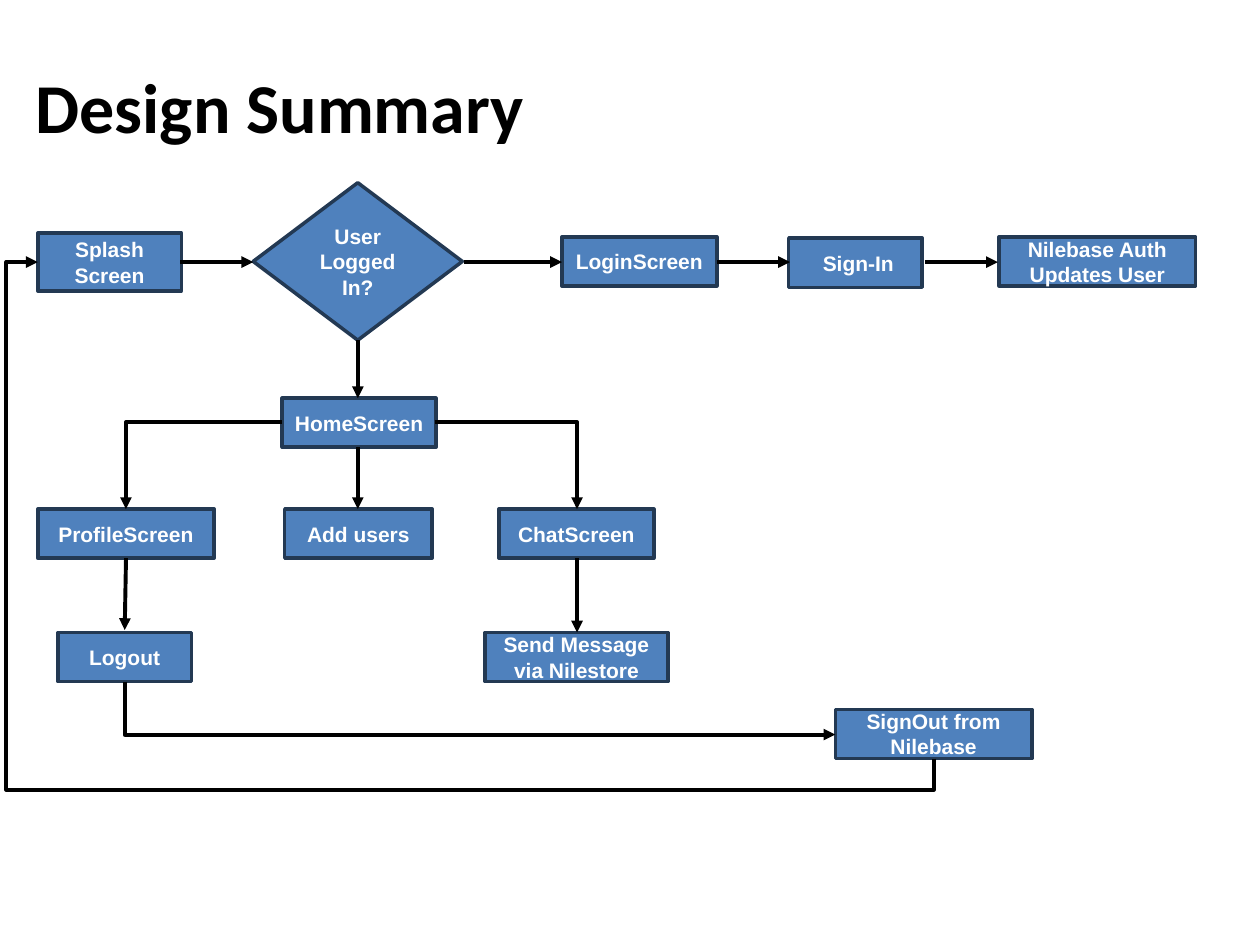
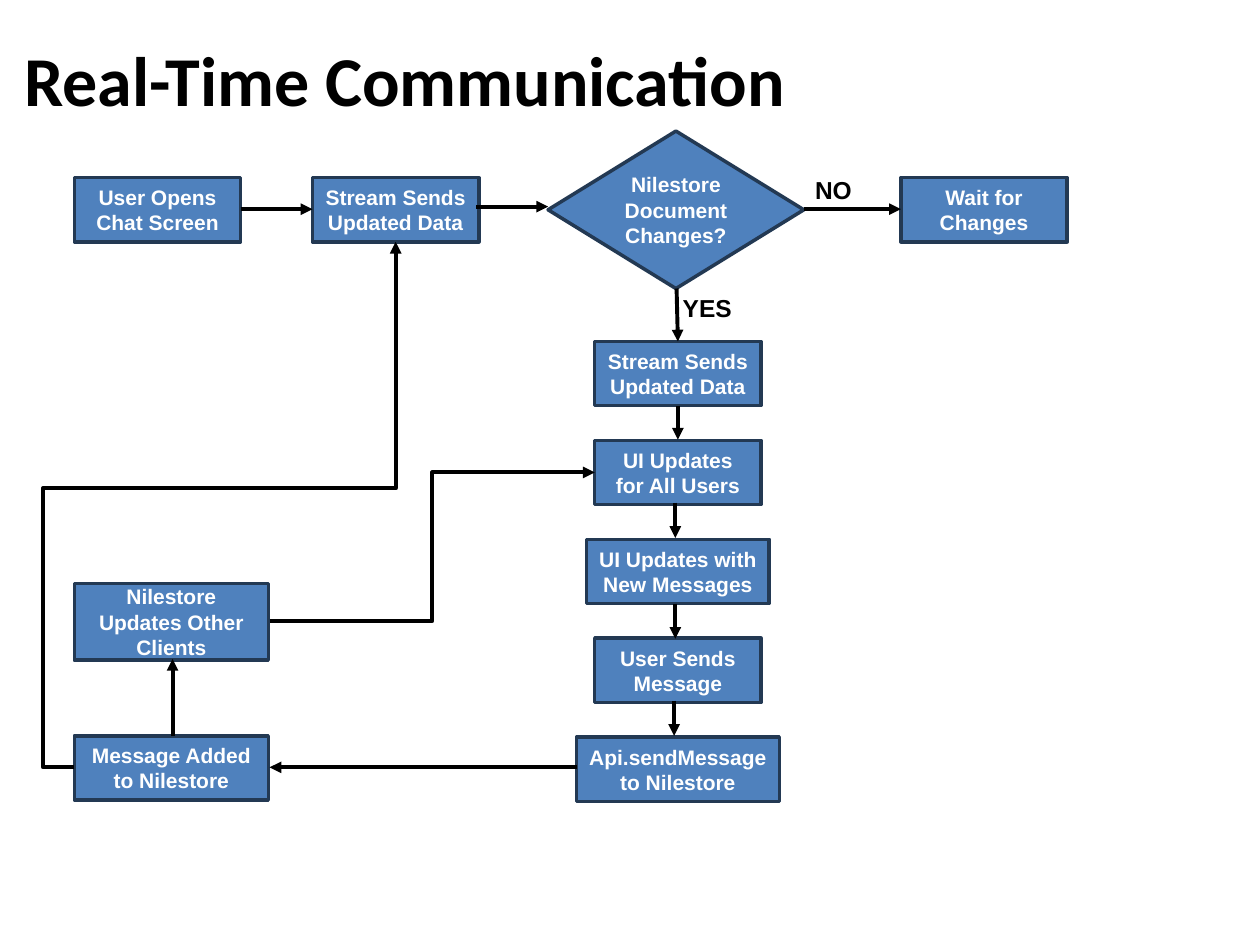
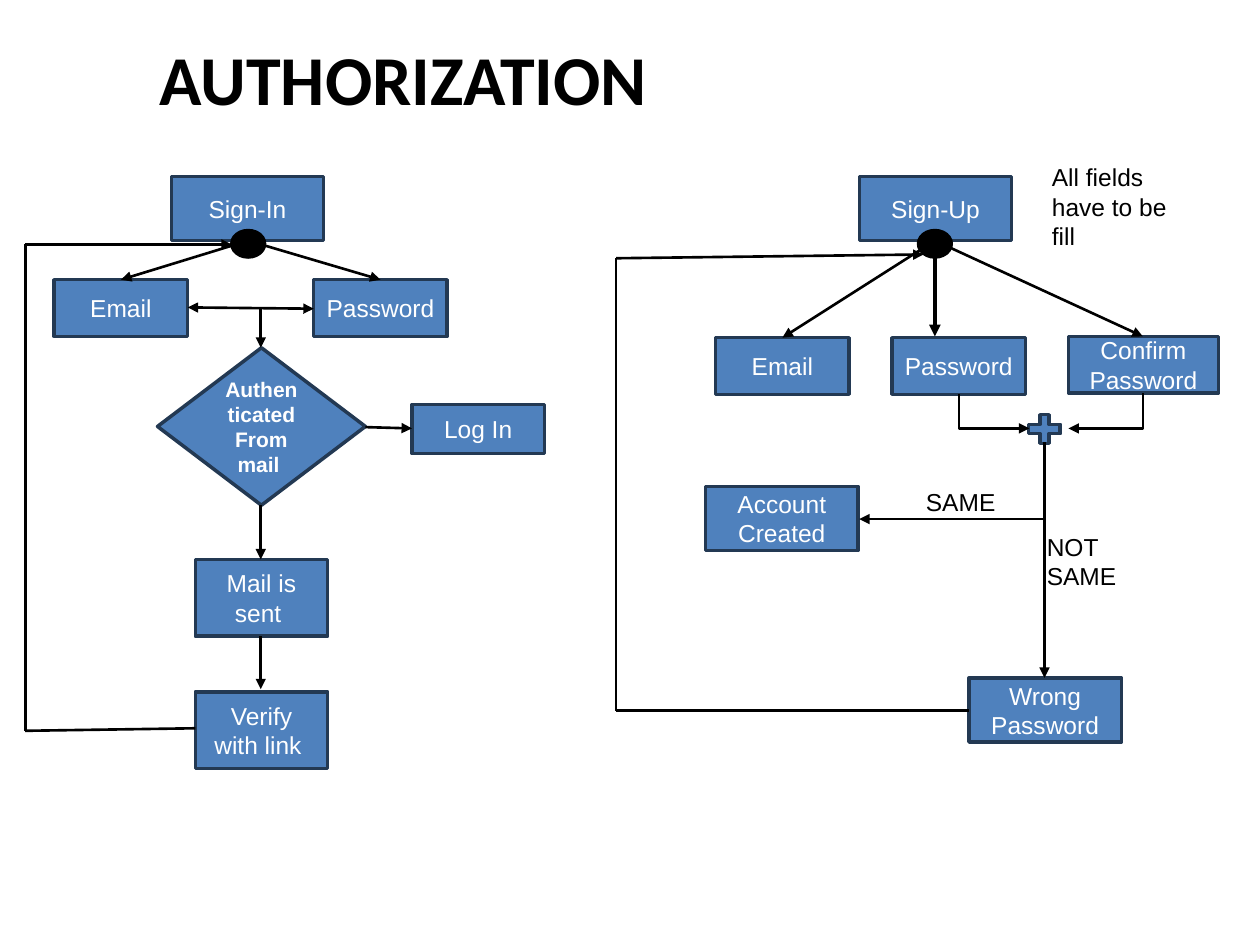
from pptx import Presentation
from pptx.dml.color import RGBColor
from pptx.enum.shapes import MSO_CONNECTOR, MSO_SHAPE
from pptx.enum.text import MSO_ANCHOR, PP_ALIGN
from pptx.oxml.ns import qn
from pptx.util import Inches, Pt
from lxml.etree import SubElement

COLORS = {"box": "4F81BD", "edge": "233953", "ink": "000000", "light": "FFFFFF"}
TITLE_SIZE = (7.98, 1.25)
BOLD = {"size": 12, "bold": True}
PLAIN = {"size": 14, "bold": False}


def color(name):
    """Return the named colour."""
    return RGBColor.from_string(COLORS[name])


def write(shape, text, size=14, bold=False, ink="ink", font="Arial", align=PP_ALIGN.LEFT):
    """Write formatted text, one paragraph for each line, and return the frame."""
    frame = shape.text_frame
    frame.word_wrap = True
    frame.text = text
    for paragraph in frame.paragraphs:
        paragraph.alignment = align
        for run in paragraph.runs:
            run.font.name = font
            run.font.size = Pt(size)
            run.font.bold = bold
            run.font.color.rgb = color(ink)
    return frame


def add_titled_slide(presentation, title, left, top):
    """Add a title-only slide with its title moved into place."""
    slide = presentation.slides.add_slide(presentation.slide_layouts[5])
    shape = slide.shapes.title
    shape.left, shape.top = Inches(left), Inches(top)
    shape.width, shape.height = (Inches(length) for length in TITLE_SIZE)
    frame = write(shape, title, size=40, bold=True, font="Calibri", align=PP_ALIGN.CENTER)
    frame.vertical_anchor = MSO_ANCHOR.MIDDLE
    properties = frame.paragraphs[0]._p.get_or_add_pPr()
    properties.set("marL", str(Inches(0.22)))
    properties.set("indent", "0")
    return slide


def add_node(slide, bounds, text="", kind=MSO_SHAPE.RECTANGLE, fill="box", edge="edge", **style):
    """Add a filled and outlined shape with centred text."""
    shape = slide.shapes.add_shape(kind, *(Inches(length) for length in bounds))
    shape.shadow.inherit = False
    shape.fill.solid()
    shape.fill.fore_color.rgb = color(fill)
    shape.line.color.rgb = color(edge)
    shape.line.width = Pt(2)
    if text:
        frame = write(shape, text, ink="light", align=PP_ALIGN.CENTER, **style)
        frame.vertical_anchor = MSO_ANCHOR.MIDDLE


def add_label(slide, bounds, text, bold=False):
    """Add a wrapped text box."""
    box = slide.shapes.add_textbox(*(Inches(length) for length in bounds))
    write(box, text, bold=bold)


def add_line(slide, start, end, width=2.25, ends=("tailEnd",), kind=MSO_CONNECTOR.STRAIGHT):
    """Add a connector with arrowheads at the given ends."""
    points = (Inches(length) for length in (*start, *end))
    connector = slide.shapes.add_connector(kind, *points)
    connector.line.color.rgb = color("ink")
    connector.line.width = Pt(width)
    line = connector.line._get_or_add_ln()
    for tag in ends:
        SubElement(line, qn(f"a:{tag}")).set("type", "triangle")
    SubElement(connector._element.spPr, qn("a:effectLst"))
    return connector


def add_elbow(slide, start, end, bends=2, vertical=False, adjust=(), width=2.25):
    """Add a bent arrow that leaves its start horizontally or vertically."""
    connector = add_line(slide, start, end, width, kind=MSO_CONNECTOR.ELBOW)
    properties = connector._element.spPr
    geometry = properties.find(qn("a:prstGeom"))
    geometry.set("prst", f"bentConnector{bends}")
    values = geometry.find(qn("a:avLst"))
    for number, value in enumerate(adjust, 1):
        guide = SubElement(values, qn("a:gd"))
        guide.set("name", f"adj{number}")
        guide.set("fmla", f"val {round(value * 100000)}")
    if vertical:
        rightward, downward = end[0] > start[0], end[1] > start[1]
        across, down = abs(end[0] - start[0]), abs(end[1] - start[1])
        connector.left = Inches((start[0] + end[0] - down) / 2)
        connector.top = Inches((start[1] + end[1] - across) / 2)
        connector.width, connector.height = Inches(down), Inches(across)
        transform = properties.find(qn("a:xfrm"))
        transform.set("rot", str((270 if rightward else 90) * 60000))
        transform.set("flipH", str(int(rightward == downward)))
        transform.set("flipV", "0")


def build_design_summary(presentation):
    """Build the flow through the screens of the app."""
    slide = add_titled_slide(presentation, "Design Summary", -1.88, 0.21)
    add_node(slide, (0.3, 1.85, 1.14, 0.46), "Splash\nScreen", **BOLD)
    for left, top, width, text in (
        (6.26, 1.89, 1.06, " Sign-In"),
        (7.93, 1.88, 1.56, "Nilebase Auth Updates User"),
        (4.46, 1.88, 1.23, "LoginScreen"),
        (2.24, 3.16, 1.22, "HomeScreen"),
        (3.96, 4.04, 1.23, "ChatScreen"),
        (2.26, 4.04, 1.17, "Add users"),
        (0.3, 4.04, 1.4, "ProfileScreen"),
        (6.63, 5.63, 1.56, "SignOut from Nilebase"),
        (3.85, 5.02, 1.45, "Send Message via Nilestore"),
        (0.46, 5.02, 1.06, "Logout"),
    ):
        add_node(slide, (left, top, width, 0.39), text, **BOLD)
    add_node(slide, (2.01, 1.45, 1.66, 1.25), "User Logged In?", MSO_SHAPE.DIAMOND, **BOLD)

    for start, end in ((1.43, 2.01), (3.68, 4.46), (5.69, 6.27), (7.34, 7.92)):
        add_line(slide, (start, 2.08), (end, 2.08))
    for x, start, end in ((2.84, 2.7, 3.16), (2.84, 3.55, 4.04), (4.58, 4.43, 5.02)):
        add_line(slide, (x, start), (x, end))
    add_line(slide, (1, 4.43), (0.99, 5))
    add_elbow(slide, (2.24, 3.35), (1, 4.04))
    add_elbow(slide, (3.45, 3.35), (4.58, 4.04))
    add_elbow(slide, (0.99, 5.41), (6.63, 5.83), vertical=True)
    add_elbow(slide, (7.41, 6.02), (0.3, 2.08), bends=4, vertical=True, adjust=(-0.063, 1.035))


def build_real_time_communication(presentation):
    """Build the loop that keeps the chat up to date."""
    slide = add_titled_slide(presentation, "Real-Time Communication", -0.89, 0)
    for left, text in (
        (0.59, "User Opens Chat Screen"),
        (2.48, "Stream Sends Updated Data"),
        (7.15, "Wait for Changes"),
    ):
        add_node(slide, (left, 1.41, 1.32, 0.51), text, **BOLD)
    steps = (
        (1.32, "Stream Sends Updated Data"),
        (1.32, "UI Updates for All Users"),
        (1.45, "UI Updates with New Messages"),
        (1.32, "User Sends Message"),
        (1.61, "Api.sendMessage to Nilestore"),
    )
    for row, (width, text) in enumerate(steps):
        add_node(slide, (5.38 - width / 2, 2.71 + row * 0.785, width, 0.51), text, **BOLD)
    add_node(slide, (0.59, 5.84, 1.54, 0.51), "Message Added to Nilestore", **BOLD)
    add_node(slide, (0.59, 4.63, 1.54, 0.61), "Nilestore Updates Other Clients", **BOLD)
    add_node(slide, (4.35, 1.04, 2.03, 1.25), "Nilestore Document Changes?",
             MSO_SHAPE.DIAMOND, **BOLD)

    for start, end, y in ((1.91, 2.48, 1.66), (3.78, 4.35, 1.64), (6.38, 7.15, 1.66),
                          (4.58, 2.14, 6.09)):
        add_line(slide, (start, y), (end, y))
    add_line(slide, (5.37, 2.29), (5.38, 2.71))
    for x, start, end in ((5.38, 3.22, 3.49), (5.36, 3.99, 4.27), (5.36, 4.79, 5.07),
                          (5.35, 5.56, 5.84), (1.37, 5.84, 5.23)):
        add_line(slide, (x, start), (x, end))
    add_elbow(slide, (0.59, 6.09), (3.14, 1.92), bends=4, adjust=(-0.098, 0.531))
    add_elbow(slide, (2.14, 4.93), (4.72, 3.75), bends=3)
    add_label(slide, (5.32, 2.28, 1.45, 0.34), "YES", bold=True)
    add_label(slide, (6.37, 1.34, 1.45, 0.34), "NO", bold=True)


def add_junction(slide, left):
    """Add the black dot where the arrows of a form meet."""
    add_node(slide, (left, 1.83, 0.26, 0.21), kind=MSO_SHAPE.OVAL, fill="ink", edge="ink")


def add_return_path(slide, *points):
    """Add a run of thin lines with an arrowhead on the last one."""
    last = len(points) - 2
    for number, (start, end) in enumerate(zip(points, points[1:])):
        add_line(slide, start, end, 1.5, ("tailEnd",) if number == last else ())


def build_sign_up(slide):
    """Build the sign-up half of the authorization slide."""
    for bounds, text in (
        ((6.82, 1.4, 1.21, 0.51), "Sign-Up"),
        ((5.68, 2.68, 1.06, 0.45), "Email"),
        ((8.48, 2.67, 1.19, 0.45), "Confirm Password"),
        ((7.08, 2.68, 1.06, 0.45), "Password"),
        ((5.6, 3.86, 1.21, 0.51), "Account Created"),
        ((7.69, 5.38, 1.21, 0.51), "Wrong Password"),
    ):
        add_node(slide, bounds, text, **PLAIN)
    add_node(slide, (8.12, 3.25, 0.34, 0.31), kind=MSO_SHAPE.MATH_PLUS)
    add_elbow(slide, (7.61, 3.13), (8.17, 3.4), vertical=True, width=1.5)
    add_elbow(slide, (9.07, 3.12), (8.48, 3.4), vertical=True, width=1.5)
    add_elbow(slide, (8.29, 3.51), (6.82, 4.12), vertical=True, width=1.5)
    add_line(slide, (8.29, 3.51), (8.29, 5.38), 1.5)
    for end, width in (((7.42, 2.67), 2.25), ((6.21, 2.68), 1.5), ((9.07, 2.67), 1.5)):
        add_line(slide, (7.42, 1.91), end, width)
    add_label(slide, (7.25, 3.82, 0.87, 0.34), "SAME")
    add_label(slide, (8.21, 4.17, 0.87, 0.57), "NOT\vSAME")
    add_label(slide, (8.25, 1.24, 1.21, 0.81), "All fields have to be fill")
    add_junction(slide, 7.29)
    add_return_path(slide, (7.69, 5.64), (4.89, 5.64), (4.89, 2.05), (7.33, 2.02))


def build_sign_in(slide):
    """Build the sign-in half of the authorization slide."""
    for bounds, text in (
        ((1.36, 1.4, 1.21, 0.51), "Sign-In"),
        ((0.43, 2.22, 1.06, 0.45), "Email"),
        ((2.49, 2.22, 1.06, 0.45), "Password"),
        ((3.27, 3.21, 1.05, 0.39), "Log In"),
        ((1.55, 4.44, 1.05, 0.61), "Mail is sent "),
        ((1.55, 5.49, 1.05, 0.61), "Verify with link "),
    ):
        add_node(slide, bounds, text, **PLAIN)
    add_node(slide, (1.25, 2.76, 1.65, 1.25), "Authenticated\nFrom mail ",
             MSO_SHAPE.DIAMOND, **BOLD)
    for x in (3.02, 0.96):
        add_line(slide, (1.97, 1.91), (x, 2.22), 1.5)
    add_junction(slide, 1.84)
    add_line(slide, (1.49, 2.44), (2.49, 2.45), 1.5, ("headEnd", "tailEnd"))
    add_line(slide, (2.9, 3.39), (3.27, 3.4), 1.5)
    for start, end in ((2.45, 2.76), (4.01, 4.44), (5.05, 5.47)):
        add_line(slide, (2.07, start), (2.07, end), 1.5)
    add_return_path(slide, (1.55, 5.78), (0.2, 5.8), (0.2, 1.94), (1.84, 1.94))


def main():
    """Build the three slides and save them."""
    presentation = Presentation()
    presentation.slide_width, presentation.slide_height = Inches(10), Inches(7.5)
    build_design_summary(presentation)
    build_real_time_communication(presentation)
    slide = add_titled_slide(presentation, "AUTHORIZATION", -0.9, -0.01)
    build_sign_up(slide)
    build_sign_in(slide)
    presentation.save("out.pptx")


if __name__ == "__main__":
    main()
